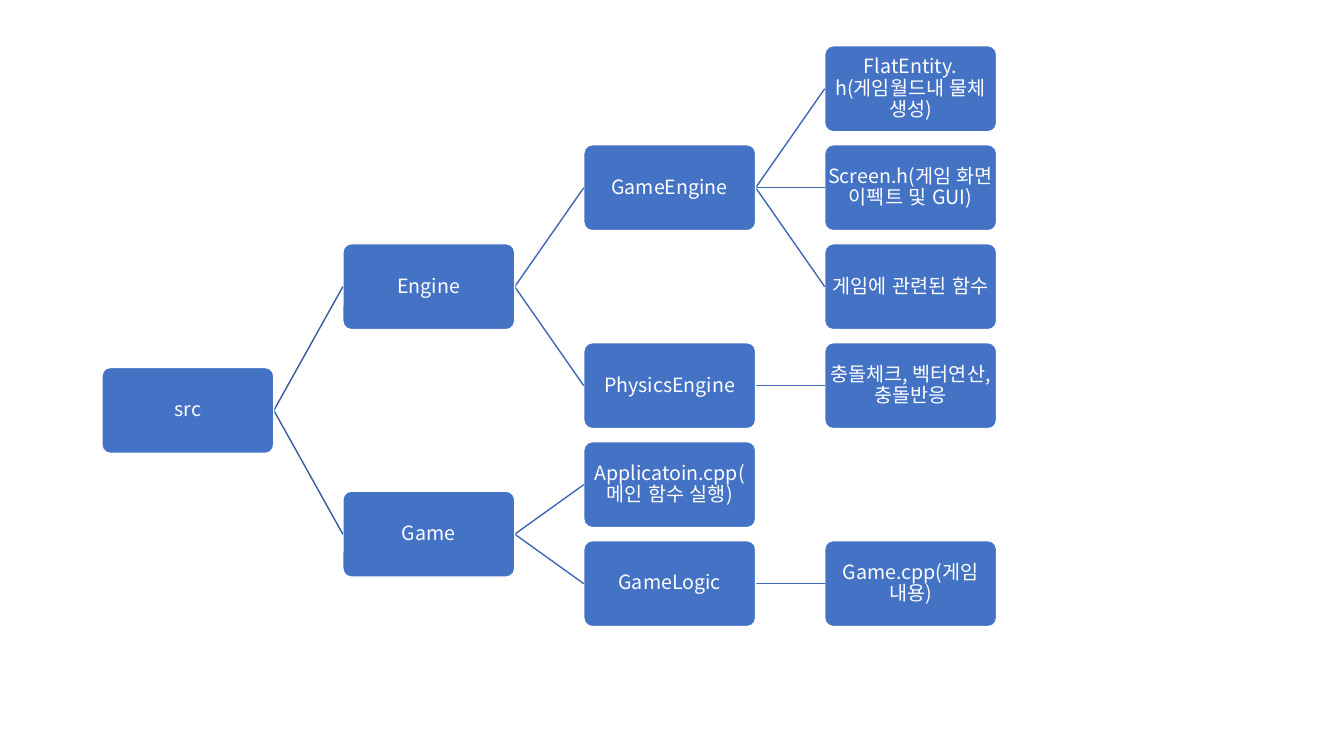
from lxml import etree
from pptx import Presentation
from pptx.dml.color import RGBColor
from pptx.enum.lang import MSO_LANGUAGE_ID
from pptx.enum.shapes import MSO_CONNECTOR, MSO_SHAPE
from pptx.enum.text import MSO_ANCHOR, PP_ALIGN
from pptx.oxml.ns import qn
from pptx.util import Pt

# Each node is (label, children)
TREE = ("src", [
    ("Engine", [
        ("GameEngine", [
            ("FlatEntity.h(게임월드내 물체 생성)", []),
            ("Screen.h(게임 화면 이펙트 및 GUI)", []),
            ("게임에 관련된 함수", []),
        ]),
        ("PhysicsEngine", [("충돌체크, 벡터연산, 충돌반응", [])]),
    ]),
    ("Game", [
        ("Applicatoin.cpp(메인 함수 실행)", []),
        ("GameLogic", [("Game.cpp(게임 내용)", [])]),
    ]),
])

FONT = "Noto Sans CJK KR"
WHITE = RGBColor(0xFF, 0xFF, 0xFF)
BLUE = RGBColor(0x44, 0x72, 0xC4)
ROOT_LINE = RGBColor(0x36, 0x5B, 0x9D)
BRANCH_LINE = RGBColor(0x3E, 0x67, 0xB2)

ROUNDED = MSO_SHAPE.ROUNDED_RECTANGLE
STRAIGHT = MSO_CONNECTOR.STRAIGHT
MIDDLE = MSO_ANCHOR.MIDDLE
CENTER = PP_ALIGN.CENTER
KOREAN = MSO_LANGUAGE_ID.KOREAN

LEFT, TOP = 72.8, 32.7
BOX_W, BOX_H = 122.8, 61.4
COLUMN_STEP, ROW_STEP = 172.1, 70.7
INSET = 0.7


def set_text(sp, text, size=14, color=WHITE, align=CENTER, spacing=0.9):
    tf = sp.text_frame
    tf.word_wrap = True
    tf.vertical_anchor = MIDDLE
    tf.margin_left = tf.margin_right = Pt(INSET)
    tf.margin_top = tf.margin_bottom = Pt(INSET)
    p = tf.paragraphs[0]
    p.alignment = align
    p.line_spacing = spacing
    r = p.add_run()
    r.text = text
    r.font.size = Pt(size)
    r.font.name = FONT
    r.font.color.rgb = color
    r.font.language_id = KOREAN
    etree.SubElement(r.font._element, qn("a:ea"), typeface=FONT)


def add_box(shapes, text, x, y):
    sp = shapes.add_shape(ROUNDED, Pt(x), Pt(y), Pt(BOX_W), Pt(BOX_H))
    sp.adjustments[0] = 0.1
    sp.shadow.inherit = False
    sp.fill.solid()
    sp.fill.fore_color.rgb = BLUE
    sp.line.color.rgb = WHITE
    sp.line.width = Pt(1)
    set_text(sp, text)


def add_link(shapes, x1, y1, x2, y2, color):
    line = shapes.add_connector(STRAIGHT, Pt(x1), Pt(y1), Pt(x2), Pt(y2))
    line.line.color.rgb = color
    line.line.width = Pt(1)
    etree.SubElement(line._element.spPr, qn("a:effectLst"))


def draw_node(shapes, node, free_rows, depth=0):
    """Draw a node and its descendants; return the y of the node's centre.

    Leaves take the next free row, and a parent is centred on its children.
    """
    label, children = node
    x = LEFT + depth * COLUMN_STEP
    if children:
        child_ys = [draw_node(shapes, child, free_rows, depth + 1)
                    for child in children]
        y = (child_ys[0] + child_ys[-1]) / 2
        color = BRANCH_LINE if depth else ROOT_LINE
        for child_y in child_ys:
            add_link(shapes, x + BOX_W, y, x + COLUMN_STEP, child_y, color)
    else:
        y = TOP + next(free_rows) * ROW_STEP + BOX_H / 2
    add_box(shapes, label, x, y - BOX_H / 2)
    return y


def main():
    prs = Presentation()
    prs.slide_width, prs.slide_height = Pt(960), Pt(540)
    slide = prs.slides.add_slide(prs.slide_layouts[6])
    draw_node(slide.shapes, TREE, iter(range(6)))
    prs.save("out.pptx")


if __name__ == "__main__":
    main()
